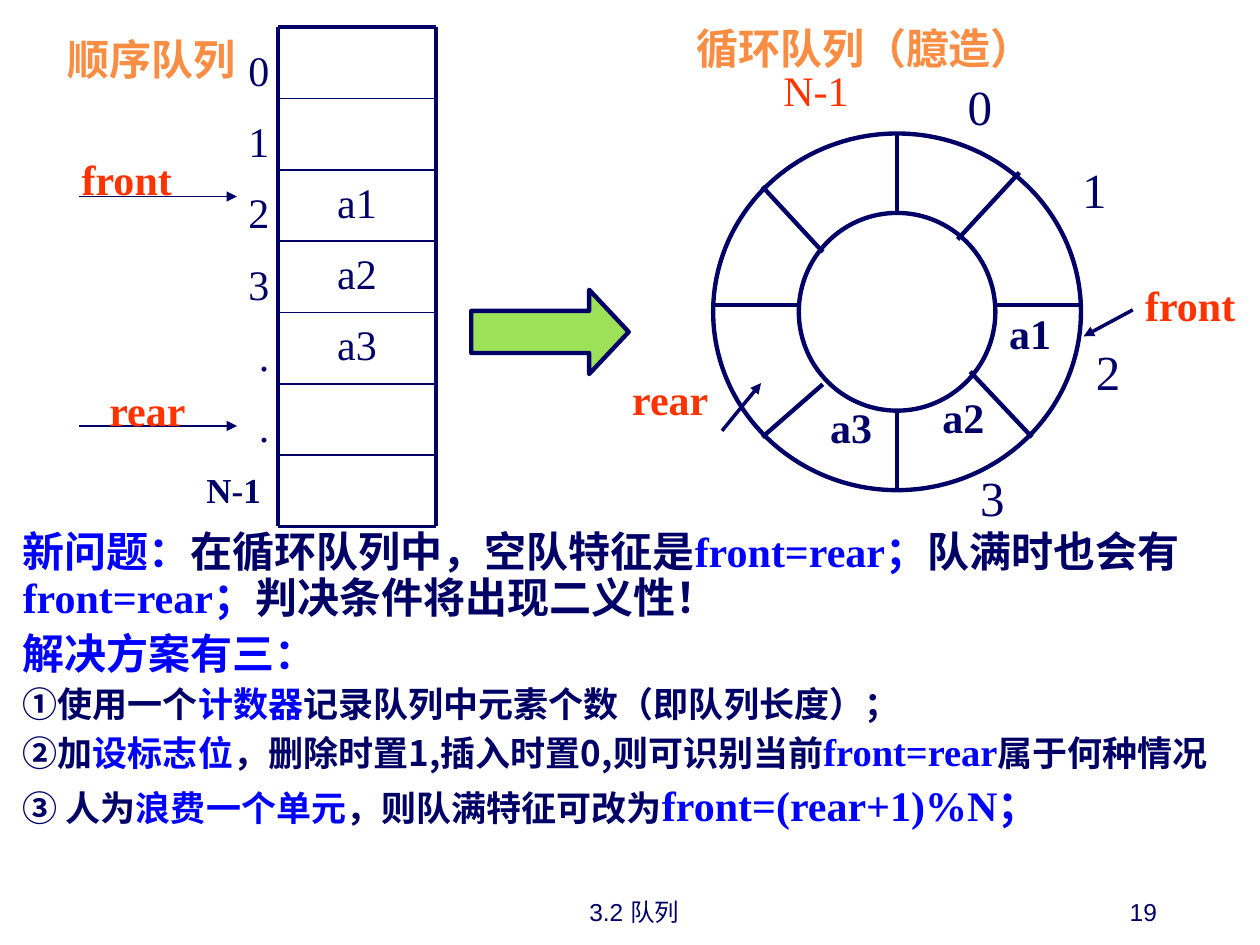
import pptx
import pptx.util
import pptx.dml.color
import pptx.enum.shapes
import pptx.enum.text
import pptx.oxml
import pptx.oxml.ns

Pt = pptx.util.Pt
ALIGN = pptx.enum.text.PP_ALIGN
ANCHOR = pptx.enum.text.MSO_ANCHOR
SHAPE = pptx.enum.shapes.MSO_SHAPE

NAVY, BLUE, RED, ORANGE, GREEN = "000066", "0000FF", "FF3300", "F98D43", "9CE157"
SERIF, SANS, HAN = "Times New Roman", "Arial", "Noto Sans CJK SC"

RING_TITLE = ("循环队列（臆造）", 391, 9.4, 240, 36)

NOTES = [
    (0, [("新问题：", BLUE, 24, SERIF), ("在循环队列中，空队特征是", NAVY, 24, HAN),
         ("front=rear；", BLUE, 24, SERIF), ("队满时也会有", NAVY, 24, HAN),
         ("front=rear；", BLUE, 24, SERIF), ("判决条件将出现二义性！", NAVY, 24, HAN)]),
    (6, [("解决方案有三：", BLUE, 24, SERIF)]),
    (5, [("①使用一个", NAVY, 20, SERIF), ("计数器", BLUE, 20, SERIF),
         ("记录队列中元素个数（即队列长度）；", NAVY, 20, SERIF)]),
    (5, [("②加", NAVY, 20, SERIF), ("设标志位", BLUE, 20, SERIF), ("，", NAVY, 20, SERIF),
         ("删除时置1,插入时置0,则可识别当前", NAVY, 20, HAN),
         ("front=rear", BLUE, 22, SERIF), ("属于何种情况", NAVY, 20, HAN)]),
    (6, [("③ 人为", NAVY, 20, SERIF), ("浪费一个单元", BLUE, 20, SERIF),
         ("，则队满特征可改为", NAVY, 20, SERIF), ("front=(rear+1)%N；", BLUE, 24, SERIF)]),
]

CELLS = ["", "", "a1", "a2", "a3", "", ""]
INDEXES = [("0", 24), ("1", 24), ("2", 24), ("3", 24), (".", 30), (".", 30), ("N-1", 0)]

LABELS = [
    ("顺序队列", 31.7, 15.8, 110, 36, 24, ORANGE, True),
    ("front", 39.6, 84.2, 66, 36, 24, RED, True),
    ("rear", 55.4, 216, 58, 36, 24, RED, True),
    ("front", 647.3, 156.2, 66, 36, 24, RED, True),
    ("rear", 354.2, 210.2, 58, 36, 24, RED, True),
    ("N-1", 440.6, 33.1, 52, 36, 24, RED, False),
    ("a1", 569.5, 172.1, 38, 36, 24, NAVY, True),
    ("a2", 531.4, 220.3, 38, 36, 24, NAVY, True),
    ("a3", 467.3, 226.1, 38, 36, 24, NAVY, True),
    ("0", 545.8, 40.3, 28, 41, 28, NAVY, False),
    ("1", 611.3, 87.8, 28, 41, 28, NAVY, False),
    ("2", 619.2, 191.5, 28, 41, 28, NAVY, False),
    ("3", 553, 263.5, 28, 41, 28, NAVY, False),
]

FOOTERS = [("3.2 队列", 248.4, 228.2, ALIGN.CENTER), ("19", 518.4, 149.8, ALIGN.RIGHT)]

OUTER = (407.5, 76.3, 210.2, 203.8)
INNER = (456.5, 121.7, 112.3, 113)
SPOKE_Y = 174.2
DIAGONALS = [(435.6, 106.6, 470.2, 144), (554.4, 212.4, 589.7, 249.8),
             (582.5, 98.6, 547.2, 136.8), (470.2, 219.6, 435.6, 249.8)]
POINTERS = [(45.4, 112.3, 135.4, 112.3, 0.75), (45.4, 243.4, 135.4, 243.4, 0.75),
            (412.6, 246.2, 434.9, 218.9, 2), (647.3, 177.1, 619.2, 192.2, 2)]

COLUMN_LEFT, COLUMN_TOP, COLUMN_WIDTH, ROW = 159, 15.6, 90, 40.75


def colour(value):
    return pptx.dml.color.RGBColor.from_string(value)


def place(shape, left, top, width, height):
    shape.left, shape.top = Pt(left), Pt(top)
    shape.width, shape.height = Pt(width), Pt(height)


def add_run(paragraph, text, tint, size, face=SERIF, bold=False):
    run = paragraph.add_run()
    run.text = text
    run.font.size, run.font.bold, run.font.name = Pt(size), bold, face
    run.font.color.rgb = colour(tint)
    east_asian = pptx.oxml.parse_xml(
        f'<a:ea {pptx.oxml.ns.nsdecls("a")} typeface="{HAN}"/>')
    run.font._element.find(pptx.oxml.ns.qn("a:latin")).addnext(east_asian)


def next_paragraph(frame, position):
    return frame.paragraphs[0] if position == 0 else frame.add_paragraph()


def set_frame(frame, wrap, anchor=ANCHOR.TOP):
    frame.auto_size = pptx.enum.text.MSO_AUTO_SIZE.NONE
    frame.word_wrap, frame.vertical_anchor = wrap, anchor


def add_text(slide, box, wrap=False, anchor=ANCHOR.TOP):
    frame = slide.shapes.add_textbox(*map(Pt, box)).text_frame
    set_frame(frame, wrap, anchor)
    return frame


def add_line(slide, x1, y1, x2, y2, weight, arrow=False):
    line = slide.shapes.add_connector(
        pptx.enum.shapes.MSO_CONNECTOR.STRAIGHT, Pt(x1), Pt(y1), Pt(x2), Pt(y2))
    line.line.color.rgb, line.line.width = colour(NAVY), Pt(weight)
    namespace = pptx.oxml.ns.nsdecls("a")
    if arrow:
        line.line._get_or_add_ln().append(
            pptx.oxml.parse_xml(f'<a:tailEnd {namespace} type="triangle"/>'))
    line._element.spPr.append(pptx.oxml.parse_xml(f"<a:effectLst {namespace}/>"))


def add_outline(slide, kind, box, fill=None):
    outline = slide.shapes.add_shape(kind, *map(Pt, box))
    outline.shadow.inherit = False
    if fill:
        outline.fill.solid()
        outline.fill.fore_color.rgb = colour(fill)
    else:
        outline.fill.background()
    outline.line.color.rgb, outline.line.width = colour(NAVY), Pt(2.5)
    return outline


def fill_placeholders(slide):
    heading = slide.shapes.title
    text, *box = RING_TITLE
    place(heading, *box)
    set_frame(heading.text_frame, True)
    heading.text_frame.paragraphs[0].alignment = ALIGN.LEFT
    add_run(heading.text_frame.paragraphs[0], text, ORANGE, 24, bold=True)

    notes = slide.placeholders[1]
    place(notes, 5.8, 300.2, 714.2, 180)
    set_frame(notes.text_frame, True)
    for position, (gap, runs) in enumerate(NOTES):
        paragraph = next_paragraph(notes.text_frame, position)
        properties = paragraph._p.get_or_add_pPr()
        properties.set("marL", "0")
        properties.set("indent", "0")
        properties.append(pptx.oxml.parse_xml(f'<a:buNone {pptx.oxml.ns.nsdecls("a")}/>'))
        paragraph.line_spacing, paragraph.space_before = 0.9, Pt(gap)
        for run in runs:
            add_run(paragraph, *run, bold=True)


def draw_column(slide):
    right, bottom = COLUMN_LEFT + COLUMN_WIDTH, COLUMN_TOP + ROW * len(CELLS)
    for row in range(len(CELLS) + 1):
        y = COLUMN_TOP + row * ROW
        add_line(slide, COLUMN_LEFT, y, right, y, 2.25 if row in (0, len(CELLS)) else 1)
    for x in (COLUMN_LEFT, right):
        add_line(slide, x, COLUMN_TOP, x, bottom, 2.25)
    for row, item in enumerate(CELLS):
        if item:
            frame = add_text(slide, (COLUMN_LEFT, COLUMN_TOP + row * ROW, COLUMN_WIDTH, ROW), True)
            frame.paragraphs[0].alignment = ALIGN.CENTER
            add_run(frame.paragraphs[0], item, NAVY, 24)
    indexes = add_text(slide, (110.9, 21.6, 54, 274.3), True)
    for position, (index, indent) in enumerate(INDEXES):
        paragraph = next_paragraph(indexes, position)
        last = position == len(INDEXES) - 1
        paragraph._p.get_or_add_pPr().set("marL", str(Pt(indent)))
        paragraph.space_before = Pt(0 if position == 0 else 10 if last else 12)
        add_run(paragraph, index, NAVY, 20 if last else 24, bold=last)


def draw_ring(slide):
    for box in (INNER, OUTER):
        add_outline(slide, SHAPE.OVAL, box)
    left, top, width, height = OUTER
    hole_left, hole_top, hole_width, hole_height = INNER
    middle = left + width / 2
    spokes = [(hole_left + hole_width, SPOKE_Y, left + width, SPOKE_Y),
              (left, SPOKE_Y, hole_left, SPOKE_Y),
              (middle, top, middle, hole_top),
              (middle, hole_top + hole_height, middle, top + height)]
    for spoke in spokes + DIAGONALS:
        add_line(slide, *spoke, 2.5)


def main():
    deck = pptx.Presentation()
    deck.slide_width, deck.slide_height = Pt(720), Pt(540)
    slide = deck.slides.add_slide(deck.slide_layouts[1])
    fill_placeholders(slide)
    arrow = add_outline(slide, SHAPE.RIGHT_ARROW, (269.3, 165.6, 90, 48.2), GREEN)
    arrow.adjustments[0], arrow.adjustments[1] = 0.5, 0.47
    draw_ring(slide)
    draw_column(slide)
    for pointer in POINTERS:
        add_line(slide, *pointer, arrow=True)
    for text, left, top, width, height, size, tint, bold in LABELS:
        frame = add_text(slide, (left, top, width, height))
        add_run(frame.paragraphs[0], text, tint, size, bold=bold)
    for text, left, width, align in FOOTERS:
        frame = add_text(slide, (left, 496.8, width, 36), True, ANCHOR.BOTTOM)
        frame.paragraphs[0].alignment = align
        add_run(frame.paragraphs[0], text, NAVY, 14, SANS)
    deck.save("out.pptx")


if __name__ == "__main__":
    main()
